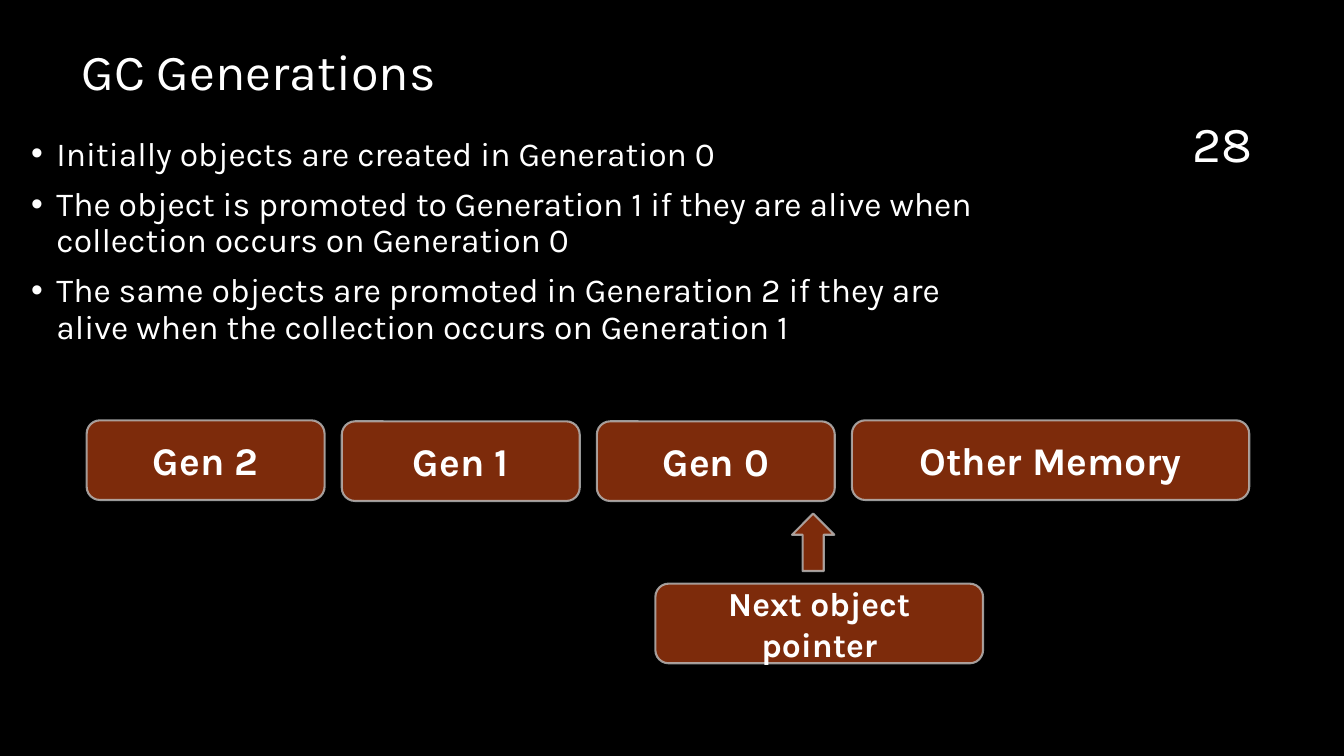
from lxml import etree
from pptx import Presentation
from pptx.dml.color import RGBColor
from pptx.enum.shapes import MSO_SHAPE
from pptx.enum.text import MSO_ANCHOR, MSO_AUTO_SIZE, PP_ALIGN
from pptx.oxml.ns import qn
from pptx.util import Inches, Pt

ROUNDED = MSO_SHAPE.ROUNDED_RECTANGLE
ARROW = MSO_SHAPE.RIGHT_ARROW
MIDDLE, TOP = MSO_ANCHOR.MIDDLE, MSO_ANCHOR.TOP
LEFT, CENTER = PP_ALIGN.LEFT, PP_ALIGN.CENTER
NO_FIT = MSO_AUTO_SIZE.NONE

COLORS = {"background": "000000", "text": "FFFFFF", "block": "9D360E", "outline": "BFBFBF"}
FONT = "Karla"
OPACITY = 80

RULES = [
    "Initially objects are created in Generation 0",
    "The object is promoted to Generation 1 if they are alive when \ncollection occurs on Generation 0",
    "The same objects are promoted in Generation 2 if they are \nalive when the collection occurs on Generation 1",
]
HEAP = [("Gen 2", 4.17, 2.36), ("Gen 1", 4.18, 2.36), ("Gen 0", 4.18, 2.36), ("Other Memory", 4.17, 3.94)]
HEAP_LEFT, HEAP_GAP, BLOCK_HEIGHT = 0.86, 0.17, 0.79


def paint(fill, color):
    fill.solid()
    fill.fore_color.rgb = RGBColor.from_string(COLORS[color])


def make_translucent(properties):
    for color in properties.iter(qn("a:srgbClr")):
        etree.SubElement(color, qn("a:alpha"), val=str(OPACITY * 1000))


def write(frame, paragraphs, size, bold=False, align=LEFT, anchor=MIDDLE,
          line_spacing=1.0, gap=0, bulleted=False):
    frame.word_wrap = True
    frame.auto_size = NO_FIT
    frame.vertical_anchor = anchor
    for index, content in enumerate(paragraphs):
        paragraph = frame.add_paragraph() if index else frame.paragraphs[0]
        paragraph.text = content
        if bulleted:
            properties = paragraph._p.get_or_add_pPr()
            indent = Inches(0.25)
            properties.set("marL", str(indent))
            properties.set("indent", str(-indent))
            etree.SubElement(properties, qn("a:buFont"), typeface="Arial")
            etree.SubElement(properties, qn("a:buChar"), char="•")
        paragraph.alignment = align
        paragraph.line_spacing = line_spacing
        paragraph.space_before = Pt(gap if index else 0)
        for line_break in paragraph._p.findall(qn("a:br")):
            etree.SubElement(line_break, qn("a:rPr"), sz=str(size * 100))
        for run in paragraph.runs:
            run.font.name = FONT
            run.font.size = Pt(size)
            run.font.bold = bold
            run.font.color.rgb = RGBColor.from_string(COLORS["text"])


class Slide:
    def __init__(self, deck):
        self.slide = deck.slides.add_slide(deck.slide_layouts[1])
        paint(self.slide.background.fill, "background")

    def placeholder(self, position, box, paragraphs, size, **style):
        holder = self.slide.placeholders[position]
        holder.left, holder.top, holder.width, holder.height = map(Inches, box)
        write(holder.text_frame, paragraphs, size, **style)

    def label(self, box, content, size):
        textbox = self.slide.shapes.add_textbox(*map(Inches, box))
        write(textbox.text_frame, [content], size)

    def block(self, box, content="", size=28, kind=ROUNDED, rotation=0):
        shape = self.slide.shapes.add_shape(kind, *map(Inches, box))
        shape.rotation = rotation
        shape.shadow.inherit = False
        paint(shape.fill, "block")
        paint(shape.line.fill, "outline")
        shape.line.width = Pt(1.5)
        make_translucent(shape._element.spPr)
        if content:
            write(shape.text_frame, [content], size, bold=True, align=CENTER)


def main():
    deck = Presentation()
    deck.slide_width, deck.slide_height = Inches(13.33), Inches(7.5)
    page = Slide(deck)
    page.placeholder(1, (0.21, 1.31, 12.92, 5.69), RULES, 24, anchor=TOP,
                     line_spacing=0.9, gap=10, bulleted=True)
    page.placeholder(0, (0.71, 0.15, 10.51, 1.18), ["GC Generations"], 36, line_spacing=0.9)
    page.label((11.73, 0.82, 1.26, 1.19), "28", 36)

    left = HEAP_LEFT
    for region, top, width in HEAP:
        page.block((left, top, width, BLOCK_HEIGHT), region)
        left += width + HEAP_GAP

    page.block((7.78, 5.17, 0.57, 0.42), kind=ARROW, rotation=270)
    page.block((6.5, 5.79, 3.25, BLOCK_HEIGHT), "Next object pointer", size=24)
    deck.save("out.pptx")


if __name__ == "__main__":
    main()
